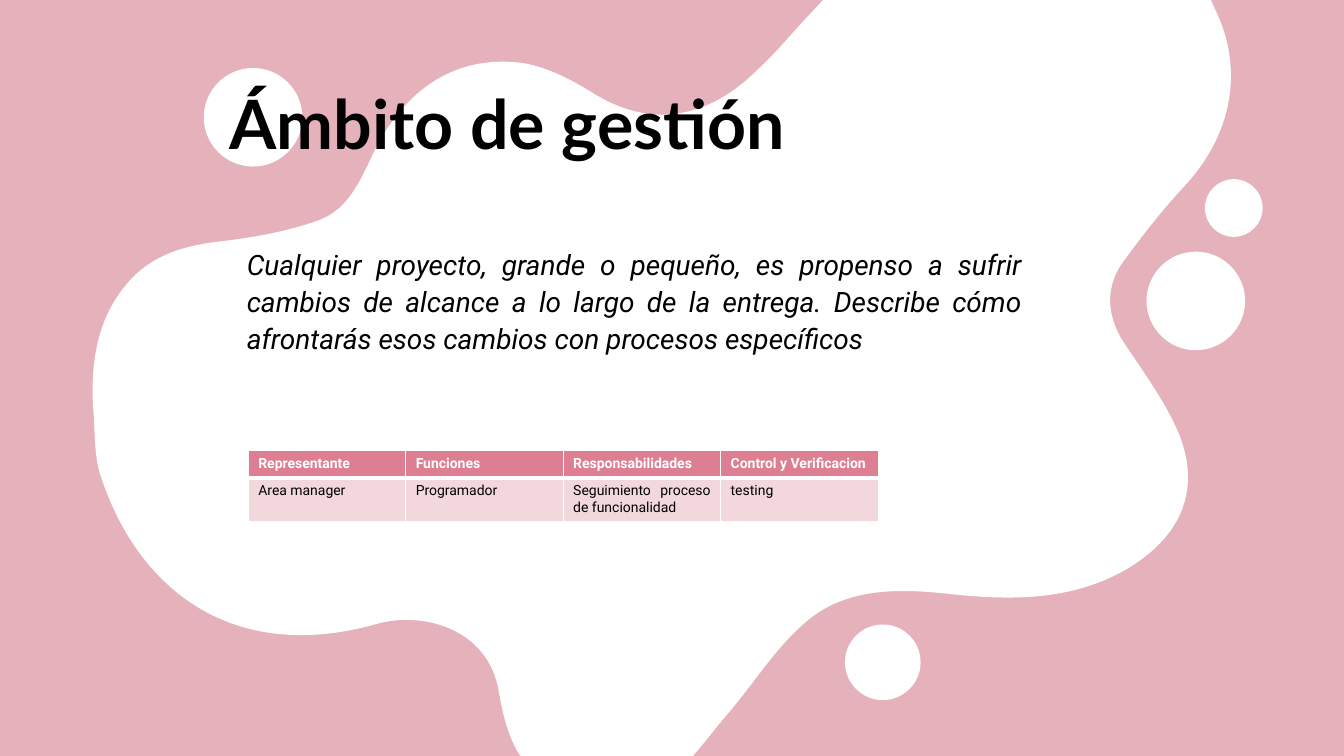
from dataclasses import dataclass

from lxml.etree import SubElement
from pptx import Presentation
from pptx.dml.color import RGBColor as Color
from pptx.enum.text import MSO_ANCHOR as Anchor, PP_ALIGN as Align
from pptx.oxml.ns import qn
from pptx.util import Pt


@dataclass(frozen=True)
class Theme:
    """Colours, fonts and type sizes of the slide."""
    rose: str = "E5B2BC"
    header: str = "DE7E92"
    body: str = "F2D8DC"
    white: str = "FFFFFF"
    black: str = "000000"
    title_font: str = "Lato"
    text_font: str = "Roboto"
    title_size: float = 48.6
    text_size: float = 20
    cell_size: float = 10


THEME = Theme()
WIDTH, HEIGHT = 960, 540
ARC_HANDLE = 0.55

BUBBLES = [(630.6, 473.1, 27), (854.2, 215, 35.2), (881.3, 148.6, 20.6), (180.8, 83.8, 35.2)]
RIGHT_EDGE = [
    (869, 9), (886, 45), (884, 91), (847, 132), (831, 149), (817, 167), (803, 186),
    (790, 203), (790, 223), (801, 242), (814, 262), (829, 282), (839, 303),
    (858, 342), (850, 380), (804, 407), (767, 428), (727, 429), (685, 425),
    (650, 421), (611, 418), (581, 440), (557, 458), (541, 485), (520.6, 509),
    (514.3, 516.3), (508.4, 523.7), (502.6, 531),
]
LEFT_EDGE = [
    (371, 539), (363, 526), (359, 510), (356.4, 494), (349, 449), (302, 436), (268, 446),
    (168, 474), (98, 423), (71, 337), (67, 322), (68, 305), (66.4, 289),
    (65, 256), (70, 224), (95, 198), (111, 182), (131, 176), (153, 173),
    (179, 170), (203, 166), (226, 158), (248, 151), (257, 130), (266, 111),
    (289, 63), (326, 39), (373, 45), (392, 48), (410, 58), (426, 68),
    (470, 94), (510, 81), (541, 50), (553, 39), (563, 27), (574, 15),
]
ROWS = [
    ["Representante", "Funciones", "Responsabilidades", "Control y Verificacion"],
    ["Area manager", "Programador", "Seguimiento proceso de funcionalidad", "testing"],
]


def write(frame, text, *, font, size, color, bold=False, italic=False,
          align=Align.LEFT, anchor=Anchor.TOP, line=None, before=None):
    """Put one formatted paragraph into a text frame."""
    frame.word_wrap = True
    frame.vertical_anchor = anchor
    para = frame.paragraphs[0]
    para.alignment = align
    if line:
        para.line_spacing = line
    if before:
        para.space_before = Pt(before)
    span = para.add_run()
    span.text = text
    span.font.name = font
    span.font.size = Pt(size)
    span.font.bold = bold
    span.font.italic = italic
    span.font.color.rgb = Color.from_string(color)


def straight(start, end):
    """Return the knots that continue a curve chain with a straight side."""
    return [start, end, end]


def trace_blob():
    """Return the curve chain around the large blob."""
    top_left, top_right = (588, 0), (865, 0)
    bottom_right, bottom_left = (495, HEIGHT), (372, HEIGHT)
    return [top_left, *straight(top_left, top_right),
            *straight(top_right, RIGHT_EDGE[0]), *RIGHT_EDGE[1:],
            *straight(RIGHT_EDGE[-1], bottom_right), *straight(bottom_right, bottom_left),
            *straight(bottom_left, LEFT_EDGE[0]), *LEFT_EDGE[1:],
            *straight(LEFT_EDGE[-1], top_left)]


def trace_bubble(x, y, radius):
    """Return the curve chain around a circle."""
    knots = [(x, y - radius)]
    across, down = 0, -1
    for _ in range(4):
        turn = (-down, across)
        for along, ahead in ((1, ARC_HANDLE), (ARC_HANDLE, 1), (0, 1)):
            knots.append((x + radius * (across * along + turn[0] * ahead),
                          y + radius * (down * along + turn[1] * ahead)))
        across, down = turn
    return knots


def bend(shape):
    """Turn each three line segments of a freeform into one cubic curve."""
    lines = list(shape.element.iter(qn("a:lnTo")))
    for first in range(0, len(lines), 3):
        trio = lines[first:first + 3]
        outline = trio[0].getparent()
        curve = SubElement(outline, qn("a:cubicBezTo"))
        trio[0].addprevious(curve)
        for line in trio:
            curve.append(line[0])
            outline.remove(line)


def add_backdrop(page, box):
    """Draw the white blob and its bubbles on the rose background."""
    left, top = box[:2]
    page.background.fill.solid()
    page.background.fill.fore_color.rgb = Color.from_string(THEME.rose)
    chains = [[(Pt(left + x), Pt(top + y)) for x, y in chain]
              for chain in (trace_blob(), *(trace_bubble(*bubble) for bubble in BUBBLES))]
    builder = page.shapes.build_freeform(*chains[0][0])
    builder.add_line_segments(chains[0][1:], close=True)
    for chain in chains[1:]:
        builder.move_to(*chain[0])
        builder.add_line_segments(chain[1:], close=True)
    blob = builder.convert_to_shape()
    bend(blob)
    blob.shadow.inherit = False
    blob.fill.solid()
    blob.fill.fore_color.rgb = Color.from_string(THEME.white)
    blob.line.fill.background()


def add_text(page, box, text, **look):
    """Add a text box with one formatted paragraph."""
    label = page.shapes.add_textbox(*map(Pt, box))
    write(label.text_frame, text, **look)


def set_borders(cell, **widths):
    """Give the cell white borders, named by side, in points."""
    properties = cell._tc.get_or_add_tcPr()
    for side in "LRTB":
        line = SubElement(properties, qn("a:ln" + side), w=str(Pt(widths.get(side, 1))))
        fill = SubElement(line, qn("a:solidFill"))
        SubElement(fill, qn("a:srgbClr"), val=THEME.white)


def add_roles(page, box):
    """Add the table of roles with a coloured header row."""
    left, top, width, height = box
    columns = len(ROWS[0])
    table = page.shapes.add_table(len(ROWS), columns, *map(Pt, box)).table
    table.horz_banding = False
    for column in table.columns:
        column.width = Pt(width / columns)
    for row, texts in enumerate(ROWS):
        table.rows[row].height = Pt(height / len(ROWS))
        head = row == 0
        for column, text in enumerate(texts):
            cell = table.cell(row, column)
            set_borders(cell, **({"B": 3} if head else {"T": 3}))
            cell.fill.solid()
            cell.fill.fore_color.rgb = Color.from_string(THEME.header if head else THEME.body)
            write(cell.text_frame, text, font=THEME.text_font, size=THEME.cell_size, bold=head,
                  color=THEME.white if head else THEME.black, align=Align.JUSTIFY)


def build_scope(page):
    """Place every region of the management scope slide."""
    add_backdrop(page, (0, 0, WIDTH, HEIGHT))
    add_text(page, (157, 37, 535.5, 83), "Ámbito de gestión", font=THEME.title_font,
             size=THEME.title_size, color=THEME.black, bold=True, anchor=Anchor.BOTTOM)
    add_text(page, (169.2, 171, 568, 148),
             "Cualquier proyecto, grande o pequeño, es propenso a sufrir cambios de alcance "
             "a lo largo de la entrega. Describe cómo afrontarás esos cambios con procesos "
             "específicos",
             font=THEME.text_font, size=THEME.text_size, color=THEME.black, italic=True,
             align=Align.JUSTIFY, line=1.1, before=10)
    add_roles(page, (177.3, 322, 450, 30))


def main():
    """Create the deck and save it."""
    deck = Presentation()
    deck.slide_width, deck.slide_height = Pt(WIDTH), Pt(HEIGHT)
    build_scope(deck.slides.add_slide(deck.slide_layouts[6]))
    deck.save("out.pptx")


main()
